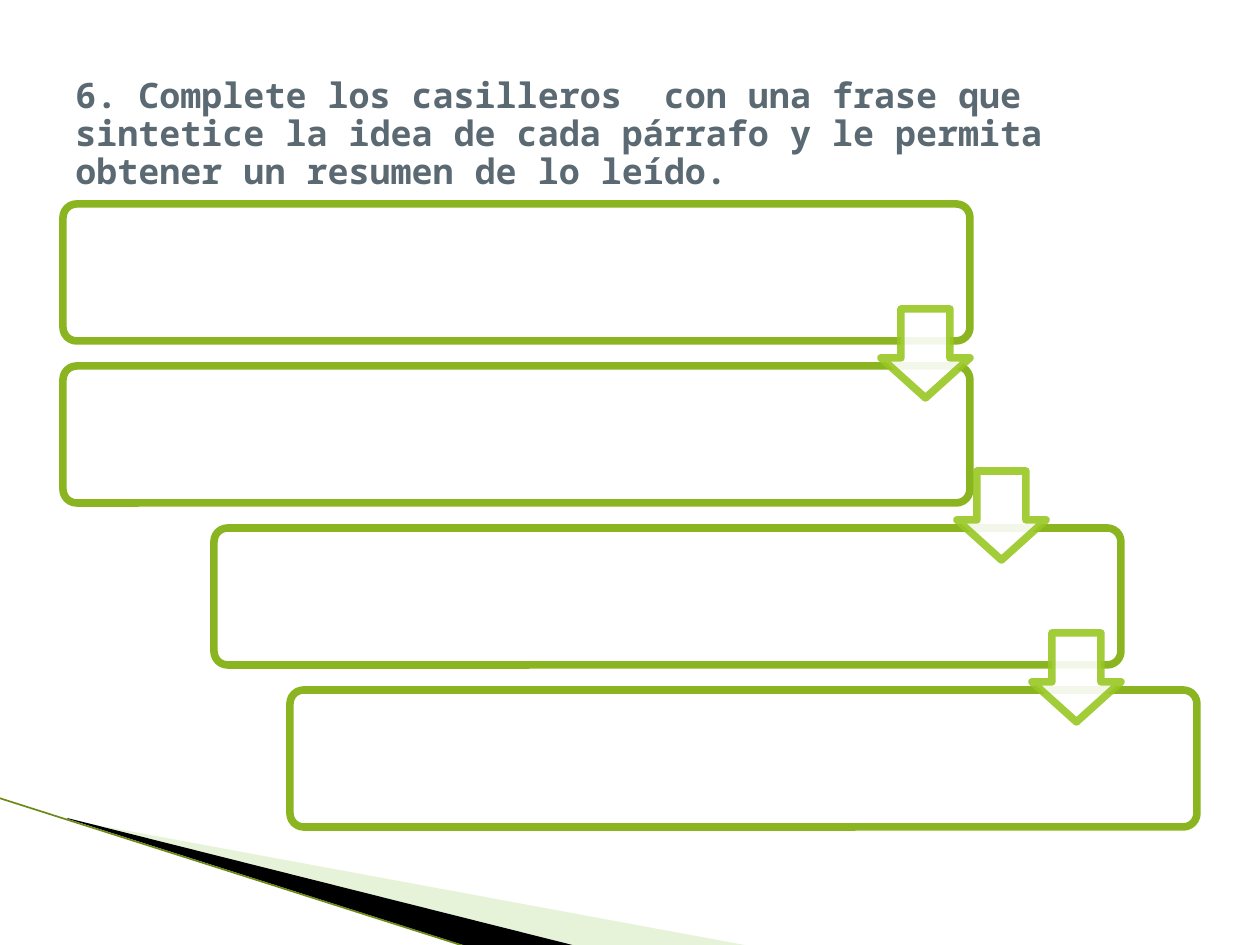
from lxml.etree import SubElement
from pptx import Presentation
from pptx.dml.color import RGBColor
from pptx.enum.shapes import MSO_CONNECTOR, MSO_SHAPE
from pptx.enum.text import MSO_ANCHOR
from pptx.oxml.ns import qn
from pptx.util import Emu, Pt

PX_PER_INCH = 126
STEP = 162
BOX_TOP, BOX_WIDTH, BOX_HEIGHT = 204, 907, 137
BOX_LEFTS = (63, 63, 214, 290)
ARROW_TOP, ARROW_SIZE = 309, 89
ARROW_LEFTS = (881, 957, 1032)
TITLE = ("6. Complete los casilleros  con una frase que sintetice la idea de "
         "cada párrafo y le permita obtener un resumen de lo leído.")


def px(count):
    return Emu(round(count * 914400 / PX_PER_INCH))


def paint(color_format, color, opacity=100):
    """Set a solid fill's colour, with its opacity in percent."""
    color_format.solid()
    color_format.fore_color.rgb = RGBColor.from_string(color)
    if opacity < 100:
        choice = color_format._xPr.find(qn("a:solidFill"))[0]
        SubElement(choice, qn("a:alpha")).set("val", str(opacity * 1000))


def add_wedge(page, points, color, opacity=100):
    start, *others = [(px(x), px(y)) for x, y in points]
    builder = page.shapes.build_freeform(*start)
    builder.add_line_segments(others, close=True)
    wedge = builder.convert_to_shape()
    wedge.shadow.inherit = False
    paint(wedge.fill, color, opacity)
    wedge.line.fill.background()


def add_line(page, start, end, color, width):
    line = page.shapes.add_connector(
        MSO_CONNECTOR.STRAIGHT, *map(px, start + end))
    paint(line.line.fill, color)
    line.line.width = Pt(width)
    SubElement(line._element.spPr, qn("a:effectLst"))


def add_outlined(page, kind, frame, adjustments, color, opacity=100):
    shape = page.shapes.add_shape(kind, *map(px, frame))
    for index, value in enumerate(adjustments):
        shape.adjustments[index] = value
    shape.shadow.inherit = False
    paint(shape.fill, "FFFFFF", opacity)
    paint(shape.line.fill, color, opacity)
    shape.line.width = Pt(4.33)


def add_title(page):
    box = page.shapes.add_textbox(px(63), px(38), px(1134), px(236))
    frame = box.text_frame
    frame.word_wrap = True
    frame.vertical_anchor = MSO_ANCHOR.MIDDLE
    frame.margin_bottom = px(48)
    frame.text = TITLE
    para = frame.paragraphs[0]
    para.line_spacing = 0.9
    font = para.runs[0].font
    font.name = "Noto Sans Mono"
    font.size = Pt(20)
    font.bold = True
    font.color.rgb = RGBColor.from_string("5B6973")


def main():
    deck = Presentation()
    deck.slide_width, deck.slide_height = px(1260), px(945)
    page = deck.slides.add_slide(deck.slide_layouts[6])

    add_wedge(page, [(69, 820), (750, 946), (575, 946), (69, 819)],
              "C5E19F", 40)
    add_wedge(page, [(67, 818), (576, 946), (469, 947), (68, 819)], "000000")
    add_line(page, (-1, 798), (467, 947), "6B8A17", 0.95)

    for row, left in enumerate(BOX_LEFTS):
        add_outlined(page, MSO_SHAPE.ROUNDED_RECTANGLE,
                     (left, BOX_TOP + row * STEP, BOX_WIDTH, BOX_HEIGHT),
                     (0.1,), "8AB520")
    for row, left in enumerate(ARROW_LEFTS):
        add_outlined(page, MSO_SHAPE.DOWN_ARROW,
                     (left, ARROW_TOP + row * STEP, ARROW_SIZE, ARROW_SIZE),
                     (0.55, 0.45), "98C723", 90)
    add_title(page)
    deck.save("out.pptx")


if __name__ == "__main__":
    main()
